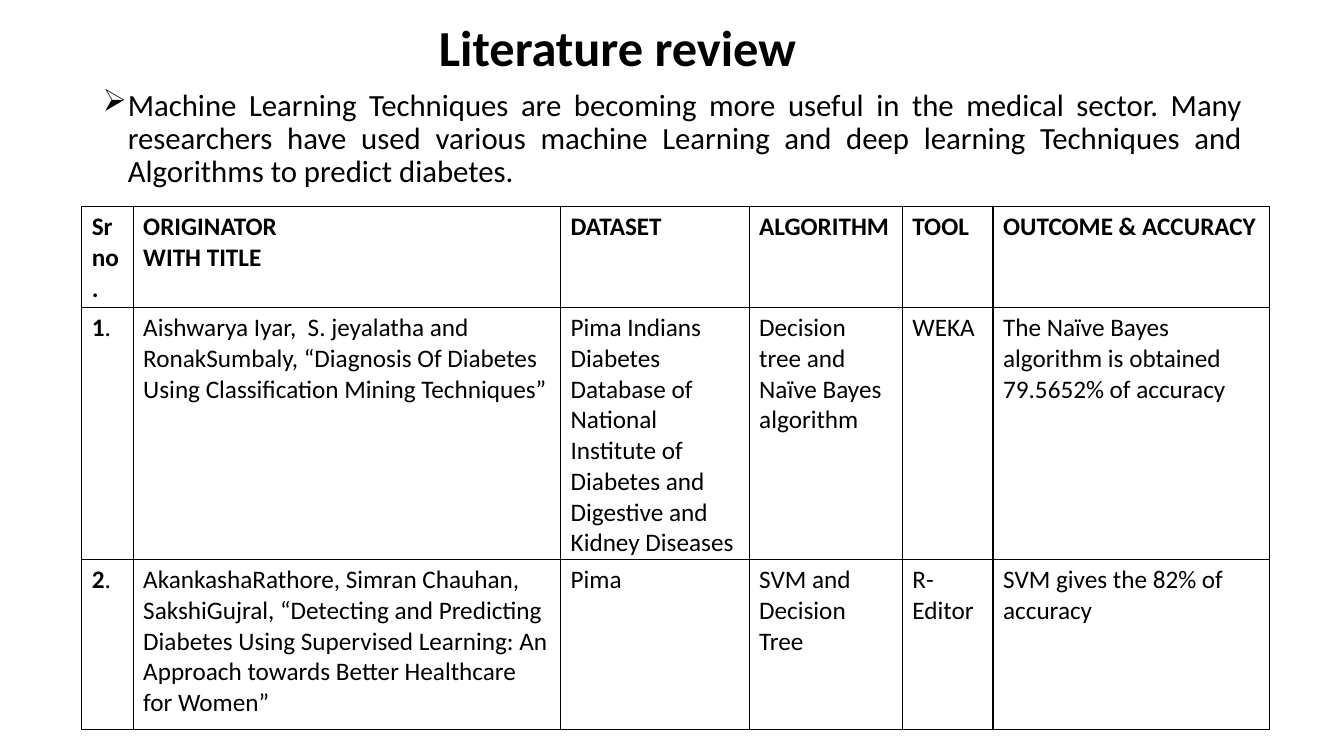
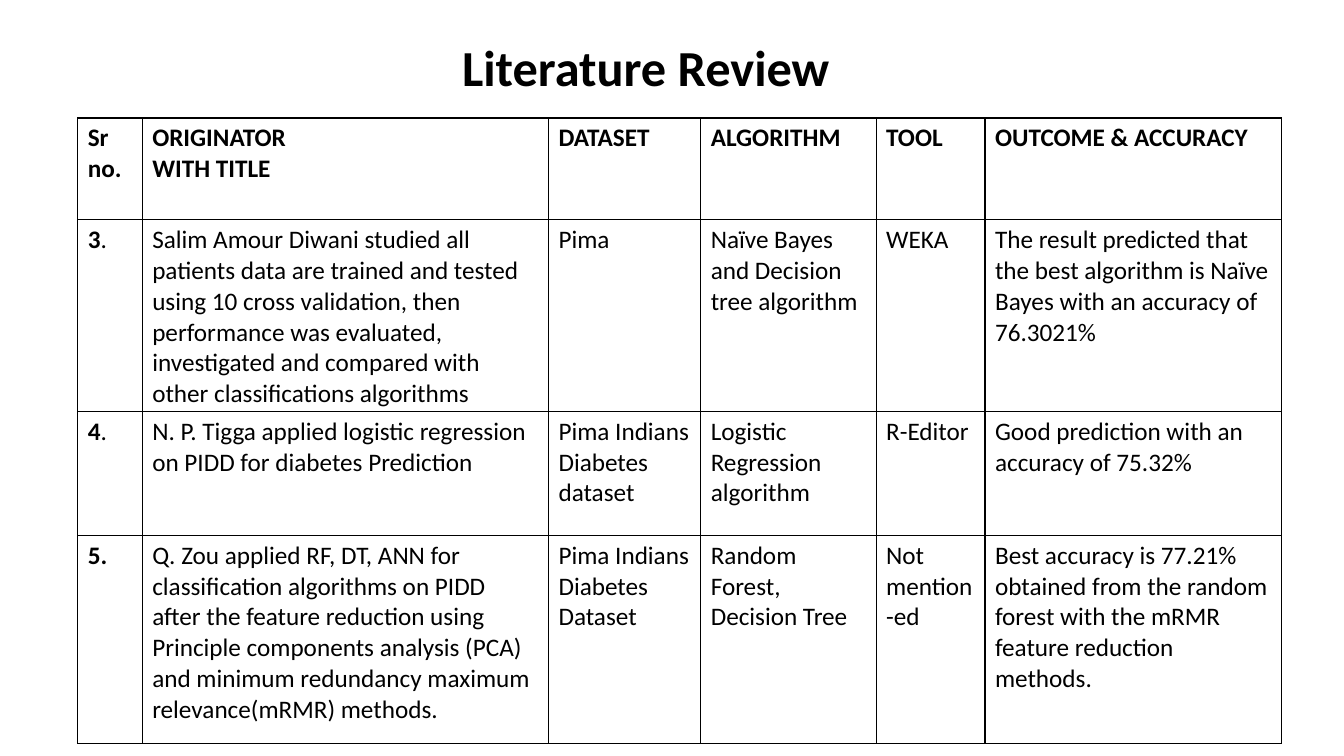
import lxml.etree
import pptx
import pptx.dml.color
import pptx.enum.text
import pptx.oxml
import pptx.oxml.ns
import pptx.util

SLIDE_WIDTH = pptx.util.Inches(13.33)
SLIDE_HEIGHT = pptx.util.Inches(7.5)
FONT = "Calibri"
INK = "000000"
TITLE_SIZE, BODY_SIZE, TABLE_SIZE = 36, 22, 18
LINE_SPACING = 0.9
TEXT_LEFT, TEXT_WIDTH = 6.9, 86.27
HEADINGS = ["Sr no.", "ORIGINATOR\nWITH TITLE", "DATASET", "ALGORITHM", "TOOL",
            "OUTCOME & ACCURACY"]

INTRODUCTION = (
    "Machine Learning Techniques are becoming more useful in the medical sector. "
    "Many researchers have used various machine Learning and deep learning "
    "Techniques and Algorithms to predict diabetes. ")

# The first cell of a row is its number: a bold part, then a regular part.
FIRST_STUDIES = [
    [("1", "."),
     "Aishwarya Iyar,  S. jeyalatha and RonakSumbaly, “Diagnosis Of Diabetes Using "
     "Classification Mining Techniques”",
     "Pima Indians Diabetes Database of National Institute of Diabetes and Digestive "
     "and Kidney Diseases",
     "Decision tree and Naïve Bayes algorithm", "WEKA",
     "The Naïve Bayes algorithm is obtained 79.5652% of accuracy"],
    [("2", "."),
     "AkankashaRathore, Simran Chauhan, SakshiGujral, “Detecting and Predicting "
     "Diabetes Using Supervised Learning: An Approach towards Better Healthcare "
     "for Women”",
     "Pima", "SVM and Decision Tree", "R-Editor", "SVM gives the 82% of accuracy"],
]
SECOND_STUDIES = [
    [("3", "."),
     "Salim Amour Diwani studied all patients data are trained and tested using "
     "10 cross validation, then performance was evaluated, investigated and compared "
     "with other classifications algorithms",
     "Pima", "Naïve Bayes and Decision tree algorithm", "WEKA",
     "The result predicted that the best algorithm is Naïve Bayes with an accuracy "
     "of 76.3021%"],
    [("4", "."),
     "N. P. Tigga applied logistic regression on PIDD for diabetes Prediction",
     "Pima Indians Diabetes dataset", "Logistic Regression algorithm", "R-Editor",
     "Good prediction with an accuracy of 75.32%"],
    [("5.", ""),
     "Q. Zou applied RF, DT, ANN for classification algorithms on PIDD after the "
     "feature reduction using Principle components analysis (PCA) and minimum "
     "redundancy maximum relevance(mRMR) methods.",
     "Pima Indians Diabetes Dataset", "Random Forest, Decision Tree", "Not mention-ed",
     "Best accuracy is 77.21% obtained from the random forest with the mRMR feature "
     "reduction methods."],
]


def colour(hex_code):
    return pptx.dml.color.RGBColor.from_string(hex_code)


def place(left, top, width, height):
    """Turn percentages of the slide into a box in slide units."""
    return (int(SLIDE_WIDTH * left / 100), int(SLIDE_HEIGHT * top / 100),
            int(SLIDE_WIDTH * width / 100), int(SLIDE_HEIGHT * height / 100))


def add_span(para, text, size, bold=False):
    span = para.add_run()
    span.text = text
    span.font.name = FONT
    span.font.size = pptx.util.Pt(size)
    span.font.bold = bold
    span.font.color.rgb = colour(INK)


def indent(para, left, first_line=0):
    properties = para._p.get_or_add_pPr()
    properties.set("marL", str(int(left)))
    properties.set("indent", str(int(first_line)))
    return properties


def add_text_box(page, box, anchor):
    frame = page.shapes.add_textbox(*box).text_frame
    frame.word_wrap = True
    frame.vertical_anchor = anchor
    para = frame.paragraphs[0]
    para.line_spacing = LINE_SPACING
    return para


def add_title(page, box, text, indent_share):
    para = add_text_box(page, box, pptx.enum.text.MSO_ANCHOR.MIDDLE)
    indent(para, box[2] * indent_share)
    add_span(para, text, TITLE_SIZE, bold=True)


def add_introduction(page, box, text):
    para = add_text_box(page, box, pptx.enum.text.MSO_ANCHOR.TOP)
    para.alignment = pptx.enum.text.PP_ALIGN.JUSTIFY
    hanging = pptx.util.Inches(0.25)
    properties = indent(para, hanging, -hanging)
    bullet = lxml.etree.SubElement(properties, pptx.oxml.ns.qn("a:buChar"))
    bullet.set("char", "➢")
    add_span(para, text, BODY_SIZE)


def draw_borders(cell):
    properties = cell._tc.get_or_add_tcPr()
    for side in ("lnL", "lnR", "lnT", "lnB"):
        properties.append(pptx.oxml.parse_xml(
            f'<a:{side} {pptx.oxml.ns.nsdecls("a")} w="{pptx.util.Pt(1)}">'
            f'<a:solidFill><a:srgbClr val="{INK}"/></a:solidFill></a:{side}>'))


def fill_cell(cell, content, bold):
    draw_borders(cell)
    cell.fill.background()
    if isinstance(content, tuple):
        for text, is_bold in zip(content, (True, False)):
            if text:
                add_span(cell.text_frame.paragraphs[0], text, TABLE_SIZE, is_bold)
        return
    for index, line in enumerate(content.split("\n")):
        frame = cell.text_frame
        para = frame.add_paragraph() if index else frame.paragraphs[0]
        add_span(para, line, TABLE_SIZE, bold)


def add_study_table(page, box, column_weights, row_weights, studies):
    """Fill the box with a table whose columns and rows share it by weight."""
    rows = [HEADINGS] + studies
    table = page.shapes.add_table(len(rows), len(HEADINGS), *box).table
    table.first_row = table.horz_banding = False
    for column, weight in zip(table.columns, column_weights):
        column.width = int(box[2] * weight / sum(column_weights))
    for row, weight in zip(table.rows, row_weights):
        row.height = int(box[3] * weight / sum(row_weights))
    for row_index, contents in enumerate(rows):
        for column_index, content in enumerate(contents):
            fill_cell(table.cell(row_index, column_index), content, row_index == 0)


def add_page(deck):
    return deck.slides.add_slide(deck.slide_layouts[6])


def build_first_review(deck):
    page = add_page(deck)
    add_title(page, place(TEXT_LEFT, 3.47, TEXT_WIDTH, 6.4), "Literature review", 0.29)
    add_introduction(page, place(TEXT_LEFT, 11.2, TEXT_WIDTH, 15.33), INTRODUCTION)
    add_study_table(page, place(6.08, 27.33, 88.37, 66.53),
                    [0.51, 4.24, 1.87, 1.52, 0.9, 2.74], [0.94, 2.36, 1.69],
                    FIRST_STUDIES)


def build_second_review(deck):
    page = add_page(deck)
    add_title(page, place(TEXT_LEFT, 5.33, TEXT_WIDTH, 8), "Literature Review", 0.31)
    add_study_table(page, place(5.78, 15.6, 89.57, 82.13),
                    [0.64, 4.03, 1.51, 1.74, 1.08, 2.94], [1.01, 1.85, 1.23, 2.07],
                    SECOND_STUDIES)


def main():
    deck = pptx.Presentation()
    deck.slide_width, deck.slide_height = SLIDE_WIDTH, SLIDE_HEIGHT
    build_first_review(deck)
    build_second_review(deck)
    deck.save("out.pptx")


if __name__ == "__main__":
    main()
